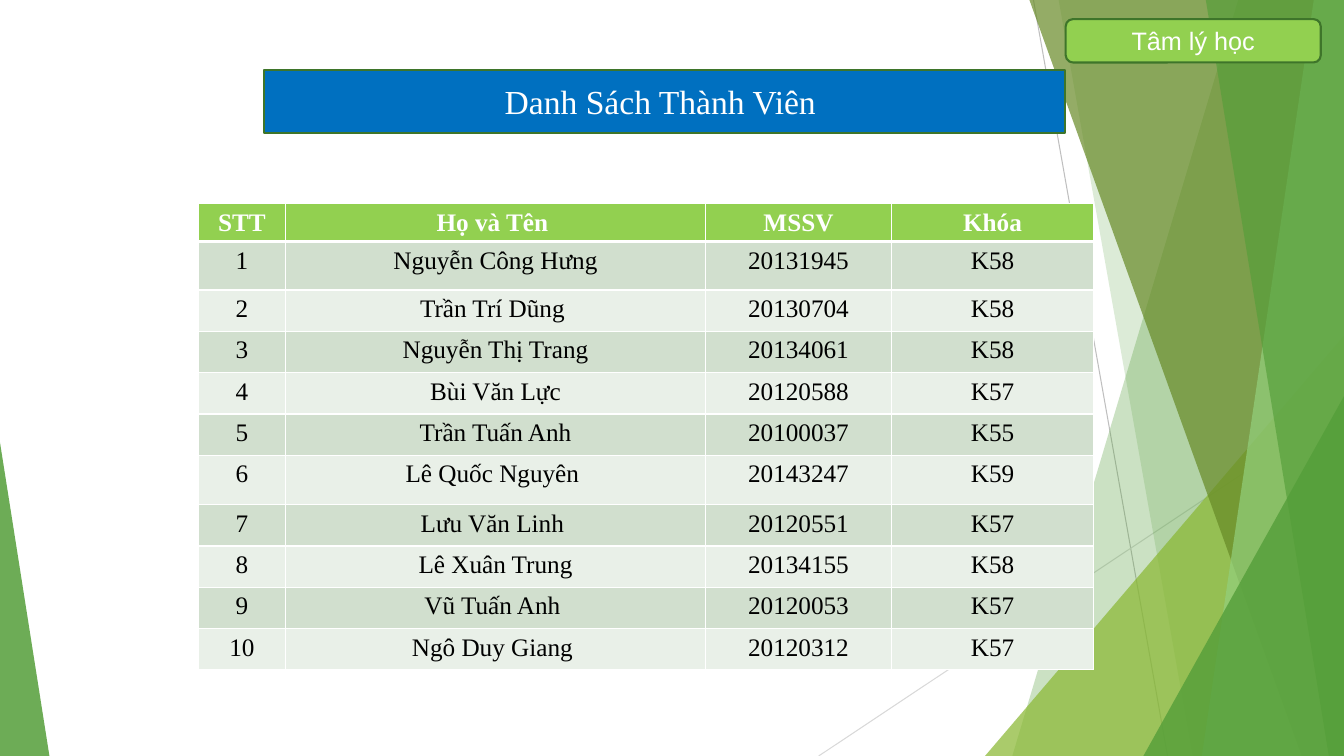
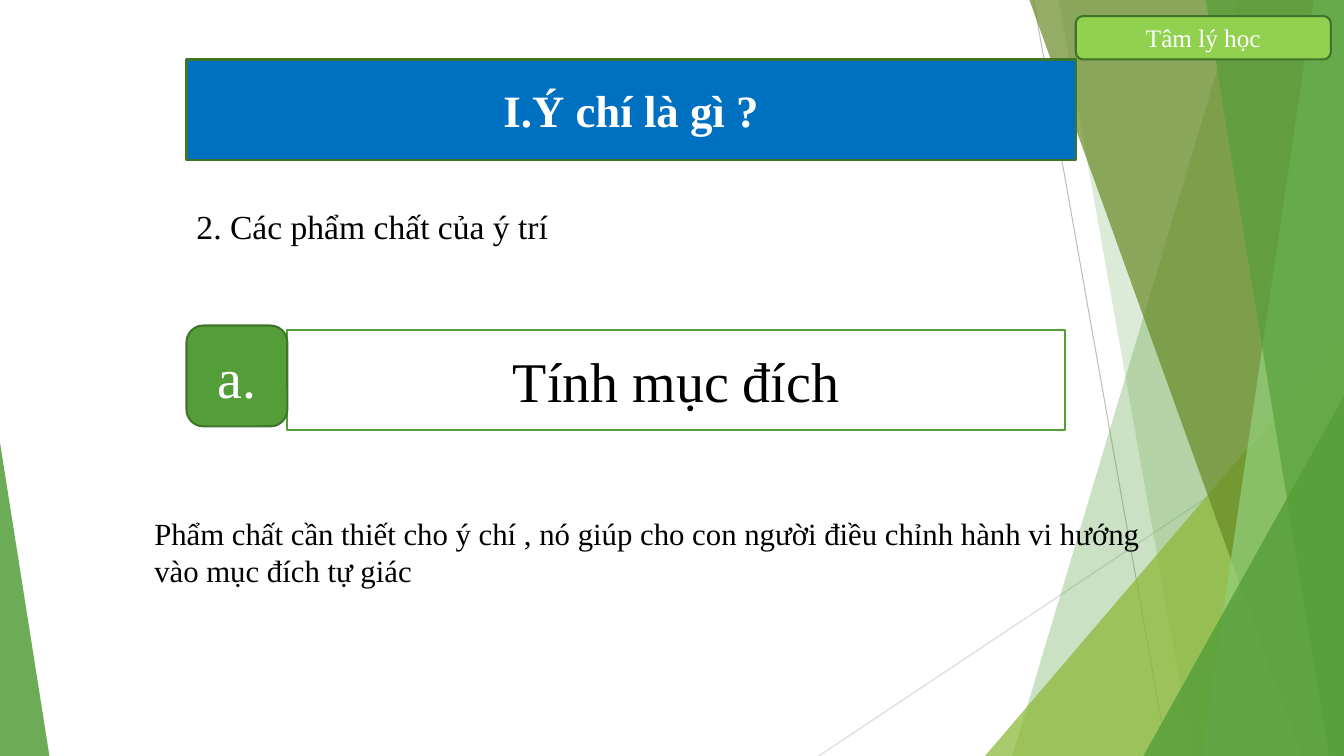
from lxml import etree
from pptx import Presentation
from pptx.dml.color import RGBColor
from pptx.enum import shapes, text
from pptx.oxml import parse_xml
from pptx.oxml.ns import nsdecls, qn
from pptx.util import Inches, Pt

WIDTH, HEIGHT = 13.33, 7.5
SERIF, SANS = "Times New Roman", "Arial"
COLORS = {
    "white": "FFFFFF", "black": "000000", "blue": "0070C0",
    "green": "549E39", "dark_green": "3E752A", "lime": "92D050",
    "olive": "678A26", "yellow_green": "8AB833", "pale_green": "93D07D",
    "line_gray": "BFBFBF", "light_gray": "D9D9D9",
    "row_odd": "D1DFCE", "row_even": "E9F0E8",
}
MEMBERS = [
    ("STT", "Họ và Tên ", "MSSV", "Khóa"),
    ("1", "Nguyễn Công Hưng", "20131945", "K58"),
    ("2", "Trần Trí Dũng ", "20130704", "K58"),
    ("3", "Nguyễn Thị Trang", "20134061", "K58"),
    ("4", "Bùi Văn Lực", "20120588", "K57"),
    ("5", "Trần Tuấn Anh", "20100037", "K55"),
    ("6", "Lê Quốc Nguyên ", "20143247", "K59"),
    ("7", "Lưu Văn Linh ", "20120551", "K57"),
    ("8", "Lê Xuân Trung", "20134155", "K58"),
    ("9", "Vũ Tuấn Anh ", "20120053", "K57"),
    ("10", "Ngô Duy Giang ", "20120312", "K57"),
]
COLUMN_WIDTHS = [0.86, 4.17, 1.84, 2.01]
ROW_HEIGHT = 0.41
SPECIAL_ROW_HEIGHTS = {0: 0.37, 1: 0.48, 6: 0.49}


def rgb(name):
    return RGBColor.from_string(COLORS[name])


def inches(*values):
    return [Inches(value) for value in values]


# Text and shape helpers
def write(frame, content, size=18, color="white", font=SERIF, bold=False,
          align=text.PP_ALIGN.CENTER, anchor=text.MSO_ANCHOR.MIDDLE):
    frame.word_wrap = True
    frame.vertical_anchor = anchor
    paragraph = frame.paragraphs[0]
    paragraph.alignment = align
    run = paragraph.add_run()
    run.text = content
    run.font.size, run.font.name, run.font.bold = Pt(size), font, bold
    run.font.color.rgb = rgb(color)
    return paragraph


def paint(shape, fill, line=None, opacity=None):
    shape.shadow.inherit = False
    shape.fill.solid()
    shape.fill.fore_color.rgb = rgb(fill)
    if line:
        shape.line.color.rgb = rgb(line)
        shape.line.width = Pt(1.5)
    else:
        shape.line.fill.background()
    if opacity:
        fill_color = shape.element.spPr.find(qn("a:solidFill"))[0]
        etree.SubElement(fill_color, qn("a:alpha"), val=str(opacity * 1000))


def add_box(slide, box, content, fill, line="dark_green", rounded=True, **style):
    kind = shapes.MSO_SHAPE.ROUNDED_RECTANGLE if rounded else shapes.MSO_SHAPE.RECTANGLE
    shape = slide.shapes.add_shape(kind, *inches(*box))
    paint(shape, fill, line)
    write(shape.text_frame, content, **style)


def place(placeholder, box):
    placeholder.left, placeholder.top, placeholder.width, placeholder.height = inches(*box)
    placeholder.text_frame.auto_size = text.MSO_AUTO_SIZE.NONE


# Background facets, kept on the slide master
def add_line(group, start, end, color):
    connector = group.shapes.add_connector(
        shapes.MSO_CONNECTOR.STRAIGHT, *inches(*start, *end))
    connector.line.color.rgb = rgb(color)
    connector.line.width = Pt(0.75)
    etree.SubElement(connector.element.spPr, qn("a:effectLst"))


def add_facet(group, top_x, bottom_x, color, opacity):
    """Band from a slanted left edge to the right edge of the slide."""
    corners = [(top_x, 0), (WIDTH, 0), (WIDTH, HEIGHT), (bottom_x, HEIGHT)]
    points = [tuple(inches(*corner)) for corner in corners]
    builder = group.shapes.build_freeform(*points[0], scale=1.0)
    builder.add_line_segments(points[1:], close=True)
    paint(builder.convert_to_shape(), color, opacity=opacity)


def add_corner(group, left, top, width, apex, color, opacity):
    """Triangle standing on the bottom edge of the slide."""
    shape = group.shapes.add_shape(
        shapes.MSO_SHAPE.ISOSCELES_TRIANGLE, *inches(left, top, width, HEIGHT - top))
    shape.adjustments[0] = apex
    paint(shape, color, opacity=opacity)


def move_background_to_master(presentation, slide):
    group = slide.shapes.add_group_shape()
    add_line(group, (10.25, 0), (11.58, HEIGHT), "line_gray")
    add_line(group, (WIDTH, 4.03), (8.12, HEIGHT), "light_gray")
    add_facet(group, 12.28, 10.04, "green", 30)
    add_facet(group, 10.5, 11.83, "green", 20)
    add_corner(group, 9.77, 3.33, 3.56, 1, "yellow_green", 72)
    add_facet(group, 10.21, 12.91, "olive", 70)
    add_facet(group, 13.03, 11.92, "pale_green", 70)
    add_facet(group, 11.96, 13.18, "green", 65)
    add_corner(group, 11.34, 3.93, 1.99, 1, "green", 80)
    add_corner(group, 0, 4.39, 0.49, 0, "green", 85)
    for number, properties in enumerate(group.element.iter(qn("p:cNvPr")), 100):
        properties.set("id", str(number))
    presentation.slide_master.shapes.element.insert(2, group.element)


# Regions
def add_title(slide, box, content, geometry, **style):
    title = slide.shapes.title
    place(title, box)
    title.element.spPr.append(parse_xml(
        f'<a:prstGeom {nsdecls("a")} prst="{geometry}"><a:avLst/></a:prstGeom>'))
    paint(title, "blue", "dark_green")
    write(title.text_frame, content, **style)


def add_subject_tag(slide, left, top, font):
    add_box(slide, (left, top, 2.53, 0.43), "Tâm lý học", "lime", font=font)


def set_borders(cell, bottom_width):
    properties = cell._tc.get_or_add_tcPr()
    widths = {"lnL": 1, "lnR": 1, "lnT": 1, "lnB": bottom_width}
    for position, (side, width) in enumerate(widths.items()):
        properties.insert(position, parse_xml(
            f'<a:{side} {nsdecls("a")} w="{Pt(width)}"><a:solidFill>'
            f'<a:srgbClr val="{COLORS["white"]}"/></a:solidFill></a:{side}>'))


def add_member_table(slide, left, top):
    heights = [SPECIAL_ROW_HEIGHTS.get(i, ROW_HEIGHT) for i in range(len(MEMBERS))]
    table = slide.shapes.add_table(
        len(MEMBERS), len(COLUMN_WIDTHS),
        *inches(left, top, sum(COLUMN_WIDTHS), sum(heights))).table
    for column, width in zip(table.columns, COLUMN_WIDTHS):
        column.width = Inches(width)
    for i, (row, values) in enumerate(zip(table.rows, MEMBERS)):
        row.height = Inches(heights[i])
        header = i == 0
        fill = "lime" if header else "row_odd" if i % 2 else "row_even"
        for cell, value in zip(row.cells, values):
            cell.fill.solid()
            cell.fill.fore_color.rgb = rgb(fill)
            set_borders(cell, 3 if header else 1)
            write(cell.text_frame, value, bold=header,
                  color="white" if header else "black", anchor=text.MSO_ANCHOR.TOP)
            cell.vertical_anchor = text.MSO_ANCHOR.TOP


def add_lettered_heading(slide, left, top, width, letter, content):
    side = 1
    add_box(slide, (left + side, top + 0.04, width - side, side), content, "white",
            line="green", rounded=False, size=40, color="black")
    add_box(slide, (left, top, side, side), letter, "green", size=40)


def add_description(slide, box, content):
    body = slide.placeholders[1]
    place(body, box)
    paragraph = write(body.text_frame, content, size=22, color="black",
                      align=text.PP_ALIGN.LEFT, anchor=text.MSO_ANCHOR.TOP)
    paragraph.space_before = Pt(0)
    properties = paragraph._p.get_or_add_pPr()
    properties.set("marL", "0")
    properties.set("indent", "0")
    etree.SubElement(properties, qn("a:buNone"))


# Slides
def build_member_slide(slide):
    add_title(slide, (2.62, 0.69, 7.94, 0.63), "Danh Sách Thành Viên ", "rect", size=24)
    add_subject_tag(slide, 10.57, 0.19, SANS)
    add_member_table(slide, 1.97, 2.02)


def build_quality_slide(slide):
    left = 1.85
    add_title(slide, (left, 0.59, 8.82, 1), "I.Ý chí là gì ?", "roundRect",
              size=32, bold=True)
    add_subject_tag(slide, 10.67, 0.16, SERIF)
    subheading = slide.shapes.add_textbox(*inches(left, 1.99, 3.89, 0.5))
    write(subheading.text_frame, "2. Các phẩm chất của ý trí", size=24, color="black",
          align=text.PP_ALIGN.LEFT, anchor=text.MSO_ANCHOR.TOP)
    add_lettered_heading(slide, left, 3.23, 8.71, "a.", "Tính mục đích")
    add_description(
        slide, (1.43, 5.06, 10.21, 1.21),
        "Phẩm chất cần thiết cho ý chí , nó giúp cho con người điều chỉnh hành vi "
        "hướng vào mục đích tự giác")


def main():
    presentation = Presentation()
    presentation.slide_width, presentation.slide_height = inches(WIDTH, HEIGHT)
    title_and_content = presentation.slide_layouts[1]
    title_only = presentation.slide_layouts[5]
    member_slide = presentation.slides.add_slide(title_only)
    move_background_to_master(presentation, member_slide)
    build_member_slide(member_slide)
    build_quality_slide(presentation.slides.add_slide(title_and_content))
    presentation.save("out.pptx")


if __name__ == "__main__":
    main()
